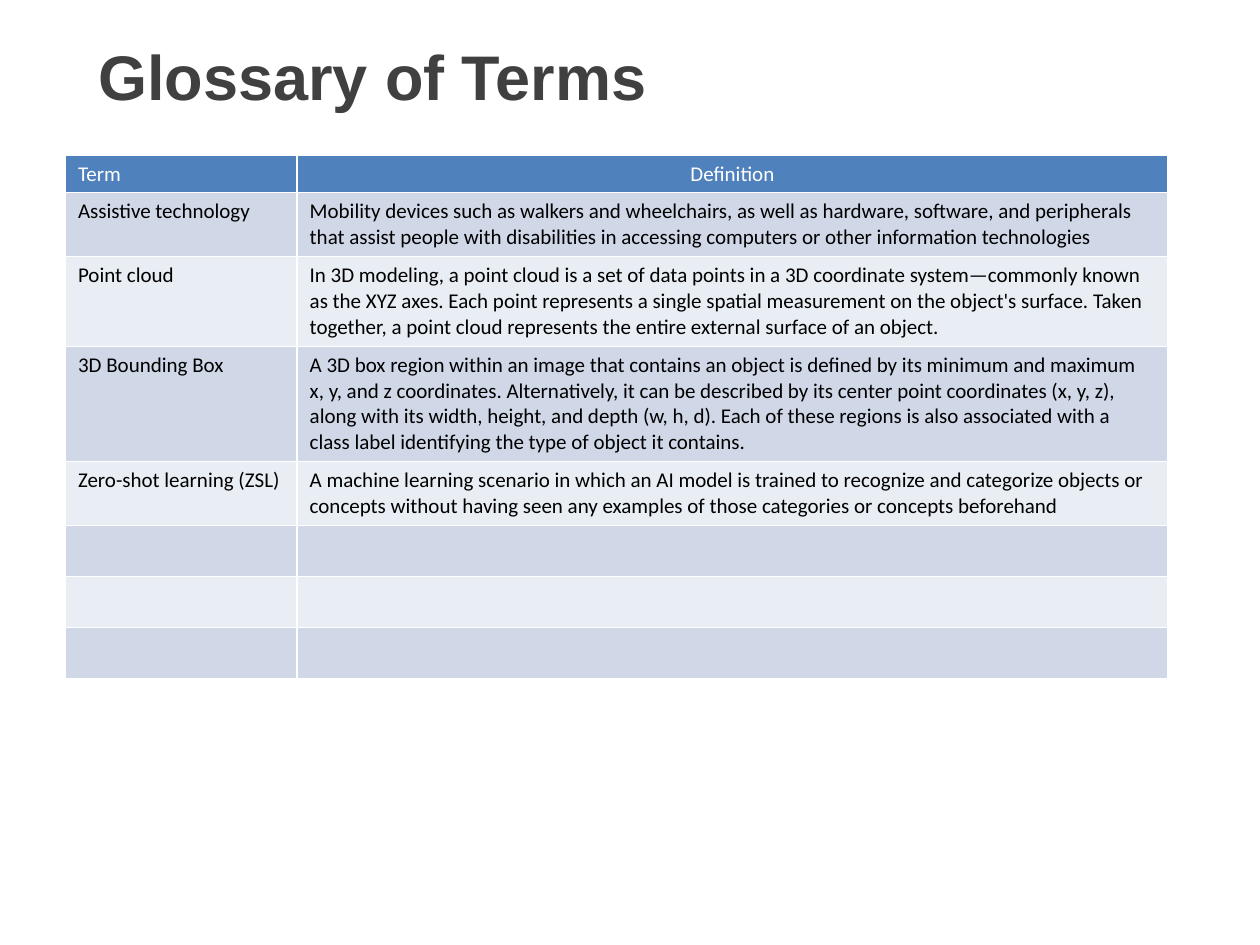
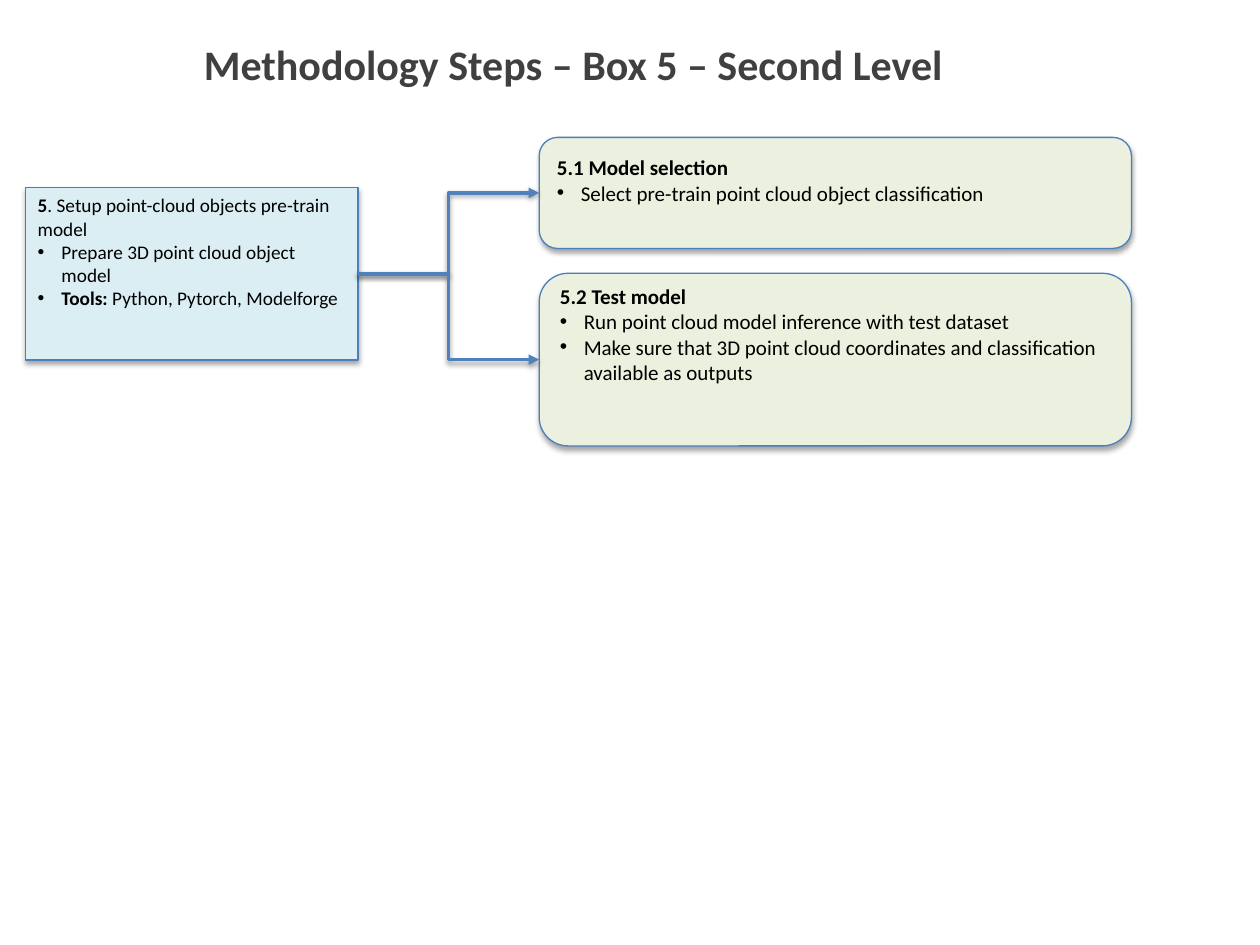
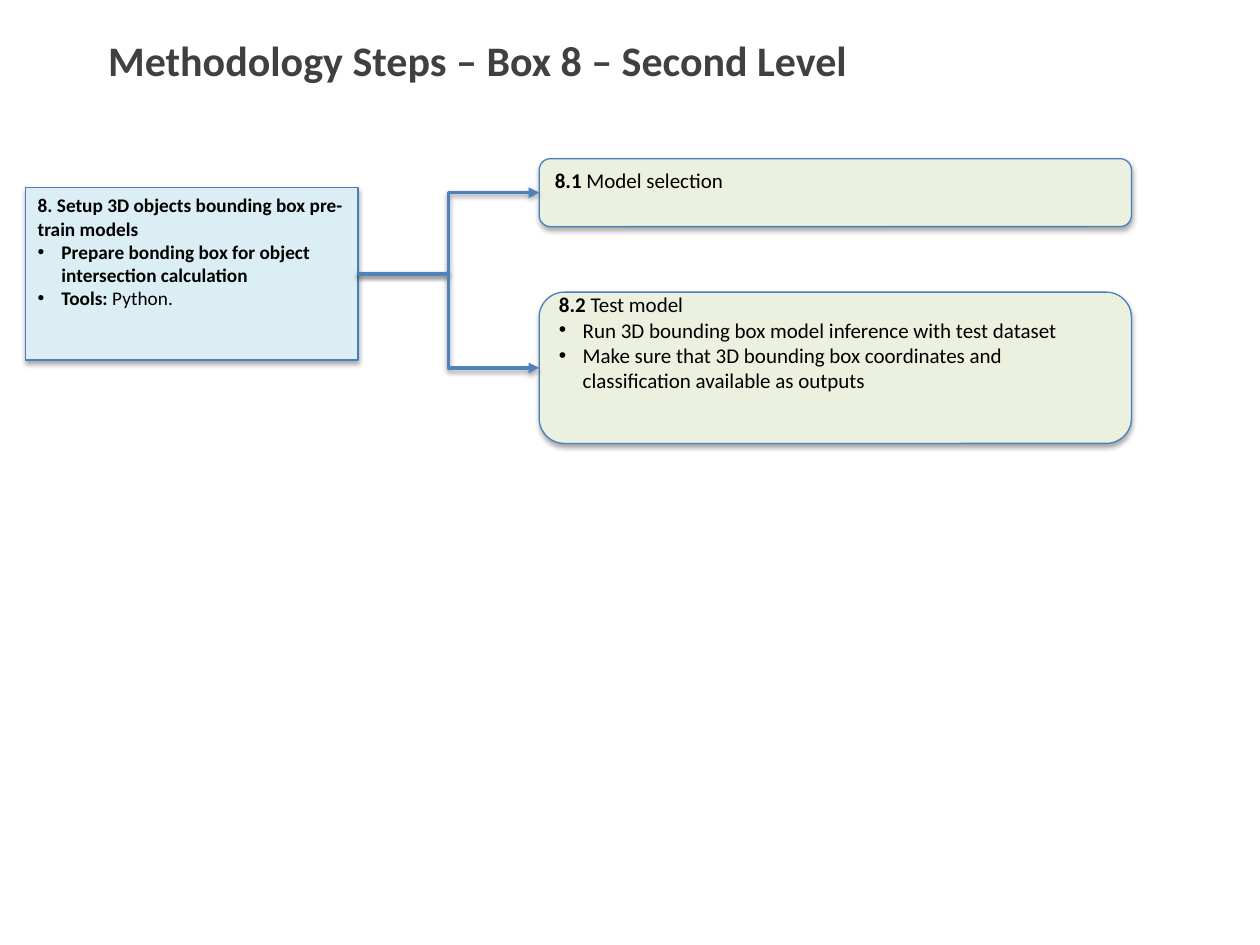
"""Build a glossary slide and two second-level methodology slides."""
from dataclasses import dataclass

from lxml import etree
from pptx import Presentation
from pptx.dml.color import RGBColor
from pptx.enum.shapes import MSO_CONNECTOR, MSO_SHAPE
from pptx.enum.text import MSO_ANCHOR, PP_ALIGN
from pptx.oxml import parse_xml
from pptx.oxml.ns import nsdecls, qn
from pptx.util import Cm, Pt

LEFT, CENTER = PP_ALIGN.LEFT, PP_ALIGN.CENTER
TOP, MIDDLE = MSO_ANCHOR.TOP, MSO_ANCHOR.MIDDLE
RECT, ROUND_RECT = MSO_SHAPE.RECTANGLE, MSO_SHAPE.ROUNDED_RECTANGLE
ELBOW = MSO_CONNECTOR.ELBOW


@dataclass(frozen=True)
class Theme:
    title: str = "404040"
    text: str = "000000"
    white: str = "FFFFFF"
    accent: str = "4F81BD"
    outline: str = "4B7EBC"
    step: str = "DBEEF4"
    substep: str = "EBF1DE"
    bands: tuple = ("E9EDF4", "D0D8E8")
    body_font: str = "Calibri"
    title_font: str = "Arial"
    glossary_size: float = 36
    title_size: float = 24
    body_size: float = 12
    step_size: float = 11


T = Theme()


def put_text(tf, text, size=T.body_size, color=T.text, font=T.body_font,
             bold=False, align=LEFT, anchor=TOP):
    """Write lines; "• " starts a bullet and *stars* mark bold text."""
    tf.word_wrap = True
    tf.vertical_anchor = anchor
    for i, line in enumerate(text.split("\n")):
        p = tf.add_paragraph() if i else tf.paragraphs[0]
        p.alignment = align
        if line.startswith("• "):
            line = line[2:]
            pPr = p._p.get_or_add_pPr()
            pPr.set("marL", str(Cm(0.48)))
            pPr.set("indent", str(-Cm(0.48)))
            etree.SubElement(pPr, qn("a:buFont"), typeface="Arial")
            etree.SubElement(pPr, qn("a:buChar"), char="•")
        for j, part in enumerate(line.split("*")):
            if part:
                r = p.add_run()
                r.text = part
                r.font.name, r.font.size = font, Pt(size)
                r.font.bold = bold or j % 2 == 1
                r.font.color.rgb = RGBColor.from_string(color)


def add_shadow(sp, distance, opacity):
    """Append a soft black shadow below the shape."""
    sp._element.spPr.append(parse_xml(
        f'<a:effectLst {nsdecls("a")}><a:outerShdw blurRad="{Pt(3.1)}" '
        f'dist="{Pt(distance)}" dir="5400000" rotWithShape="0">'
        f'<a:srgbClr val="000000"><a:alpha val="{opacity * 1000}"/></a:srgbClr>'
        '</a:outerShdw></a:effectLst>'))


prs = Presentation()
prs.slide_width, prs.slide_height = Cm(25.4), Cm(19.05)
blank = prs.slide_layouts[6]

glossary = [
    ("Term", "Definition", 0.76),
    ("Assistive technology",
     "Mobility devices such as walkers and wheelchairs, as well as hardware, "
     "software, and peripherals that assist people with disabilities in "
     "accessing computers or other information technologies", 1.29),
    ("Point cloud",
     "In 3D modeling, a point cloud is a set of data points in a 3D coordinate "
     "system—commonly known as the XYZ axes. Each point represents a single "
     "spatial measurement on the object's surface. Taken together, a point "
     "cloud represents the entire external surface of an object.", 1.81),
    ("3D Bounding Box",
     "A 3D box region within an image that contains an object is defined by its "
     "minimum and maximum x, y, and z coordinates. Alternatively, it can be "
     "described by its center point coordinates (x, y, z), along with its width, "
     "height, and depth (w, h, d). Each of these regions is also associated with "
     "a class label identifying the type of object it contains.", 2.32),
    ("Zero-shot learning (ZSL)",
     "A machine learning scenario in which an AI model is trained to recognize "
     "and categorize objects or concepts without having seen any examples of "
     "those categories or concepts beforehand", 1.29),
] + [("", "", 1.03)] * 3

s = prs.slides.add_slide(blank)
tf = s.shapes.add_textbox(Cm(1.73), Cm(0.46), Cm(21.54), Cm(1.73)).text_frame
tf.margin_top, tf.margin_bottom = Cm(0.3), 0
put_text(tf, "Glossary of Terms", size=T.glossary_size, color=T.title,
         font=T.title_font, bold=True)

height = sum(row[2] for row in glossary)
table = s.shapes.add_table(len(glossary), 2, Cm(1.32), Cm(3.12),
                           Cm(22.22), Cm(height)).table
table.columns[0].width, table.columns[1].width = Cm(4.67), Cm(17.55)
for i, (term, definition, row_height) in enumerate(glossary):
    table.rows[i].height = Cm(row_height)
    for j, text in enumerate((term, definition)):
        cell = table.cell(i, j)
        tcPr = cell._tc.get_or_add_tcPr()
        for side in "LRTB":
            tcPr.append(parse_xml(
                f'<a:ln{side} {nsdecls("a")} w="{Pt(1)}"><a:solidFill>'
                f'<a:srgbClr val="{T.white}"/></a:solidFill></a:ln{side}>'))
        cell.fill.solid()
        cell.fill.fore_color.rgb = RGBColor.from_string(
            T.bands[i % 2] if i else T.accent)
        if text:
            put_text(cell.text_frame, text, color=T.text if i else T.white,
                     align=LEFT if i or not j else CENTER)

methodology = [
    ("Methodology Steps – Box 5 – Second Level", 3.86, 0.66,
     "*5*. Setup point-cloud objects pre-train model\n"
     "• Prepare 3D point cloud object model\n"
     "• *Tools:* Python, Pytorch, Modelforge",
     [(2.77, 2.24, 1, "*5.1 Model selection*\n"
       "• Select pre-train point cloud object classification"),
      (5.51, 3.48, 2, "*5.2 Test model*\n"
       "• Run point cloud model inference with test dataset\n"
       "• Make sure that 3D point cloud coordinates and classification "
       "available as outputs")]),
    ("Methodology Steps – Box 8 – Second Level", 1.93, 0.58,
     "*8. Setup 3D objects bounding box pre-train models*\n"
     "• *Prepare bonding box for object intersection calculation*\n"
     "• *Tools:* Python.",
     [(3.2, 1.37, 1, "*8.1* Model selection"),
      (5.89, 3.05, 2, "*8.2* Test model\n"
       "• Run 3D bounding box model inference with test dataset\n"
       "• Make sure that 3D bounding box coordinates and classification "
       "available as outputs")]),
]

for title, title_left, title_top, step_text, substeps in methodology:
    s = prs.slides.add_slide(blank)
    tf = s.shapes.add_textbox(Cm(title_left), Cm(title_top),
                              Cm(21.54), Cm(2.06)).text_frame
    put_text(tf, title, size=T.title_size, color=T.title, bold=True)

    boxes = [(RECT, 0.51, 3.78, 6.71, 3.48, T.step, T.step_size, TOP, 0, step_text)]
    boxes += [(ROUND_RECT, 10.87, top, 11.94, h, T.substep, T.body_size, MIDDLE,
               free_lines, text) for top, h, free_lines, text in substeps]
    shapes = []
    for kind, left, top, w, h, fill, size, anchor, free_lines, text in boxes:
        sp = s.shapes.add_shape(kind, Cm(left), Cm(top), Cm(w), Cm(h))
        sp.shadow.inherit = False
        sp._element.spPr.remove(sp._element.spPr.find(qn("a:effectLst")))
        sp.fill.solid()
        sp.fill.fore_color.rgb = RGBColor.from_string(fill)
        sp.line.color.rgb = RGBColor.from_string(T.outline)
        sp.line.width = Pt(0.75)
        add_shadow(sp, 1.8, 35)
        sp.text_frame.margin_bottom = Cm(0.13 + 0.51 * free_lines)
        put_text(sp.text_frame, text, size=size, anchor=anchor)
        shapes.append(sp)

    step, *targets = shapes
    for target in targets:
        link = s.shapes.add_connector(ELBOW, 0, 0, 0, 0)
        link.begin_connect(step, 3)
        link.end_connect(target, 1)
        link.line.color.rgb = RGBColor.from_string(T.accent)
        link.line.width = Pt(2)
        etree.SubElement(link.line._get_or_add_ln(), qn("a:tailEnd"), type="triangle")
        add_shadow(link, 1.6, 38)

prs.save("out.pptx")
